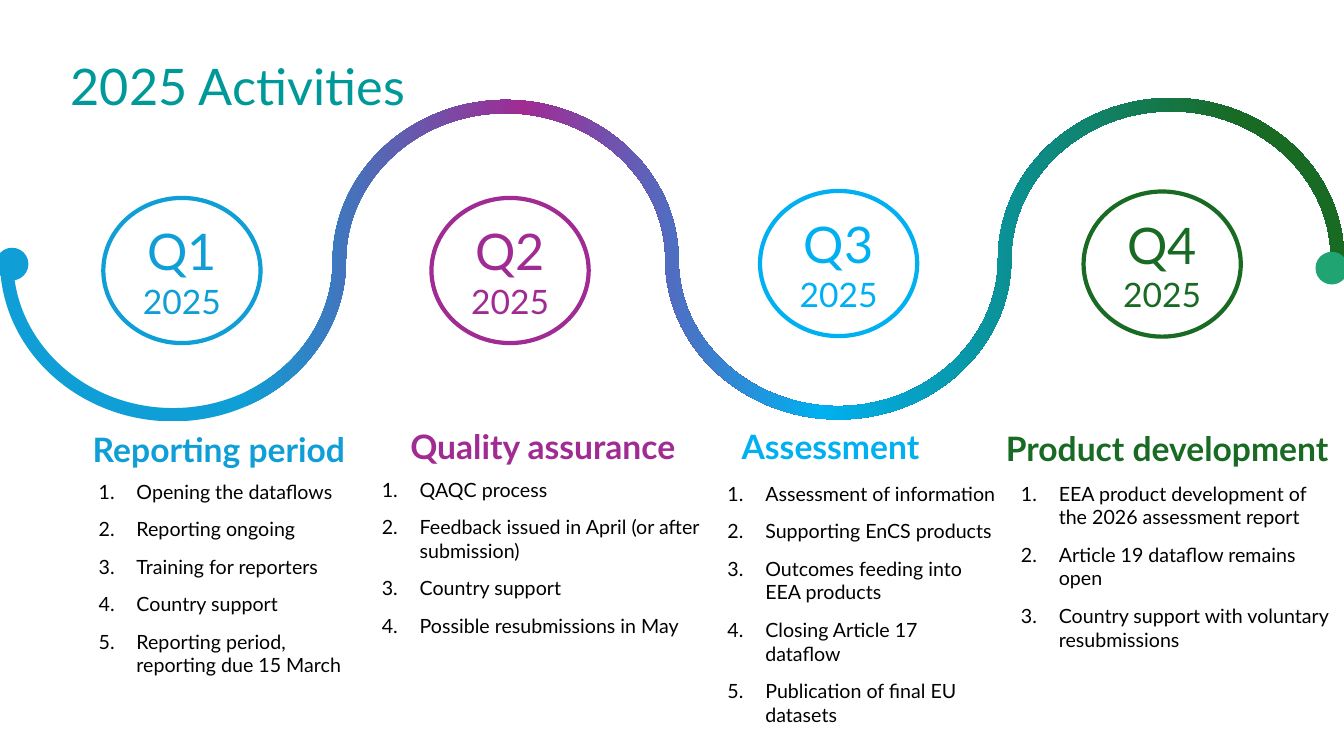
from dataclasses import dataclass

import pptx
import pptx.dml.color
import pptx.enum.shapes
import pptx.enum.text
import pptx.oxml
import pptx.oxml.ns
import pptx.util
from lxml import etree

Pt = pptx.util.Pt
RGBColor = pptx.dml.color.RGBColor
MSO_SHAPE = pptx.enum.shapes.MSO_SHAPE
PP_ALIGN = pptx.enum.text.PP_ALIGN
MSO_ANCHOR = pptx.enum.text.MSO_ANCHOR
qn = pptx.oxml.ns.qn

BLUE = RGBColor(0x0F, 0x9E, 0xD5)
PURPLE = RGBColor(0xA0, 0x2B, 0x93)
SKY = RGBColor(0x00, 0xB0, 0xF0)
GREEN = RGBColor(0x19, 0x6B, 0x24)
MINT = RGBColor(0x20, 0xA4, 0x72)
TEAL = RGBColor(0x00, 0x99, 0x99)
BLACK = RGBColor(0, 0, 0)
WHITE = RGBColor(0xFF, 0xFF, 0xFF)

FONT = "Lato"
SLIDE_WIDTH, SLIDE_HEIGHT = 960, 540
CIRCLE_WIDTH, CIRCLE_HEIGHT = 112.3, 103.7
RIBBON_STOPS = [(18, BLUE), (39, PURPLE), (61, SKY), (92, GREEN)]
RIBBON_THICKNESS = 9.5
WAVE_RISE = 0.7
CURVE = 0.55


@dataclass
class Quarter:
    name: str
    color: RGBColor
    heading: str
    activities: list
    box: tuple
    circle_offset: tuple
    heading_offset: tuple
    list_offset: float


QUARTERS = [
    Quarter("Q1", BLUE, "Reporting period",
            ["Opening the dataflows", "Reporting ongoing", "Training for reporters",
             "Country support", "Reporting period, reporting due 15 March"],
            (63.4, 136, 189.4, 388), (10.4, 5.4), (-4.2, 170), 203),
    Quarter("Q2", PURPLE, "Quality assurance",
            ["QAQC process", "Feedback issued in April (or after submission)",
             "Country support", "Possible resubmissions in May"],
            (265.7, 136, 254.9, 388), (42.5, 5.4), (20.3, 167.8), 201.7),
    Quarter("Q3", SKY, "Assessment",
            ["Assessment of information", "Supporting EnCS products",
             "Outcomes feeding into EEA products", "Closing Article 17 dataflow",
             "Publication of final EU datasets"],
            (512.6, 136, 206.6, 388), (30.3, 0.4), (10.1, 167.8), 204.6),
    Quarter("Q4", GREEN, "Product development",
            ["EEA product development of the 2026 assessment report",
             "Article 19 dataflow remains open",
             "Country support with voluntary resubmissions"],
            (722.2, 136, 237.6, 388), (51.8, 0.8), (-10.8, 169.3), 204.6),
]


def write_paragraph(frame, text, *, size, color, bold=False, align=PP_ALIGN.LEFT,
                    line_spacing=1.0, space_before=0, numbered=False):
    first = not frame.paragraphs[0].runs
    paragraph = frame.paragraphs[0] if first else frame.add_paragraph()
    paragraph.alignment = align
    paragraph.line_spacing = line_spacing
    paragraph.space_before = Pt(0 if first else space_before)
    if numbered:
        properties = paragraph._p.get_or_add_pPr()
        properties.set("marL", str(Pt(27)))
        properties.set("indent", str(Pt(-27)))
        etree.SubElement(properties, qn("a:buFont"), typeface="+mj-lt")
        etree.SubElement(properties, qn("a:buAutoNum"), type="arabicPeriod")
    run = paragraph.add_run()
    run.text = text
    run.font.name = FONT
    run.font.size = Pt(size)
    run.font.bold = bold
    run.font.color.rgb = color


def add_text_frame(slide, left, top, width, height):
    frame = slide.shapes.add_textbox(Pt(left), Pt(top), Pt(width), Pt(height)).text_frame
    frame.word_wrap = True
    return frame


def add_ellipse(slide, left, top, width, height, fill, line, line_width):
    shape = slide.shapes.add_shape(MSO_SHAPE.OVAL, Pt(left), Pt(top), Pt(width), Pt(height))
    shape.shadow.inherit = False
    shape.fill.solid()
    shape.fill.fore_color.rgb = fill
    shape.line.color.rgb = line
    shape.line.width = Pt(line_width)
    return shape


def add_title(slide, left, top, width, height):
    title = slide.shapes.title
    title.left, title.top, title.width, title.height = Pt(left), Pt(top), Pt(width), Pt(height)
    frame = title.text_frame
    frame.auto_size = pptx.enum.text.MSO_AUTO_SIZE.NONE
    frame.vertical_anchor = MSO_ANCHOR.MIDDLE
    frame.margin_left = Pt(44)
    frame.margin_top = Pt(30.6)
    write_paragraph(frame, "2025 Activities", size=36, color=TEAL, line_spacing=0.9)


def ribbon_edge(left, top, width, height, low_inset, high_inset):
    radius_x = (width + 3 * RIBBON_THICKNESS) / 8
    radius_y = (height - 3 * WAVE_RISE) / 2
    points = []
    for wave in range(4):
        direction, inset = (1, low_inset) if wave % 2 == 0 else (-1, high_inset)
        center_x = left + radius_x + wave * (2 * radius_x - RIBBON_THICKNESS)
        center_y = top + height - radius_y - wave * WAVE_RISE
        half_wave = [(-1, 0), (-1, CURVE), (-CURVE, 1), (0, 1), (CURVE, 1), (1, CURVE), (1, 0)]
        for x, y in half_wave if wave == 0 else half_wave[1:]:
            points.append((Pt(center_x + (radius_x - inset) * x),
                           Pt(center_y + direction * (radius_y - inset) * y)))
    return points


def merge_into_curves(segments):
    for start in range(0, len(segments), 3):
        curve = etree.Element(qn("a:cubicBezTo"))
        segments[start].addprevious(curve)
        for segment in segments[start:start + 3]:
            curve.append(segment[0])
            segment.getparent().remove(segment)


def add_ribbon(slide, left, top, width, height):
    upper = ribbon_edge(left, top, width, height, RIBBON_THICKNESS, 0)
    lower = ribbon_edge(left, top, width, height, 0, RIBBON_THICKNESS)
    outline = upper + lower[::-1]
    builder = slide.shapes.build_freeform(*outline[0], scale=1.0)
    builder.add_line_segments(outline[1:], close=True)
    ribbon = builder.convert_to_shape()
    segments = list(ribbon._element.spPr.iter(qn("a:lnTo")))
    merge_into_curves(segments[:len(upper) - 1])
    merge_into_curves(segments[len(upper):])
    ribbon.shadow.inherit = False
    ribbon.line.fill.background()
    ribbon.fill.gradient()
    ribbon.fill.gradient_angle = 0
    stops = ribbon._element.spPr.find(qn("a:gradFill")).find(qn("a:gsLst"))
    for stop in list(stops):
        stops.remove(stop)
    for position, color in RIBBON_STOPS:
        stop = etree.SubElement(stops, qn("a:gs"), pos=str(position * 1000))
        etree.SubElement(stop, qn("a:srgbClr"), val=str(color))

    dot = 17.3
    add_ellipse(slide, left, top + 110, dot, dot, BLUE, BLUE, 6)
    add_ellipse(slide, left + width - dot, top + 112.9, dot, dot, MINT, MINT, 6)


def add_quarter(slide, quarter):
    left, top, width, height = quarter.box
    circle_x, circle_y = quarter.circle_offset
    circle = add_ellipse(slide, left + circle_x, top + circle_y, CIRCLE_WIDTH, CIRCLE_HEIGHT,
                         WHITE, quarter.color, 3)
    circle.text_frame.vertical_anchor = MSO_ANCHOR.MIDDLE
    for text, size in [(quarter.name, 36), ("2025", 24)]:
        write_paragraph(circle.text_frame, text, size=size, color=quarter.color,
                        align=PP_ALIGN.CENTER)

    heading_x, heading_y = quarter.heading_offset
    heading = add_text_frame(slide, left + heading_x, top + heading_y, width + 11, 30)
    write_paragraph(heading, quarter.heading, size=24, color=quarter.color, bold=True,
                    line_spacing=0.9)

    activities = add_text_frame(slide, left, top + quarter.list_offset, width,
                                height - quarter.list_offset)
    for activity in quarter.activities:
        write_paragraph(activities, activity, size=14, color=BLACK, space_before=10,
                        numbered=True)


def main():
    presentation = pptx.Presentation()
    presentation.slide_width = Pt(SLIDE_WIDTH)
    presentation.slide_height = Pt(SLIDE_HEIGHT)
    slide = presentation.slides.add_slide(presentation.slide_layouts[5])
    add_ribbon(slide, 0, 70, SLIDE_WIDTH, 231)
    for quarter in QUARTERS:
        add_quarter(slide, quarter)
    add_title(slide, 6.5, 11.5, 828, 77)
    presentation.save("out.pptx")


if __name__ == "__main__":
    main()
